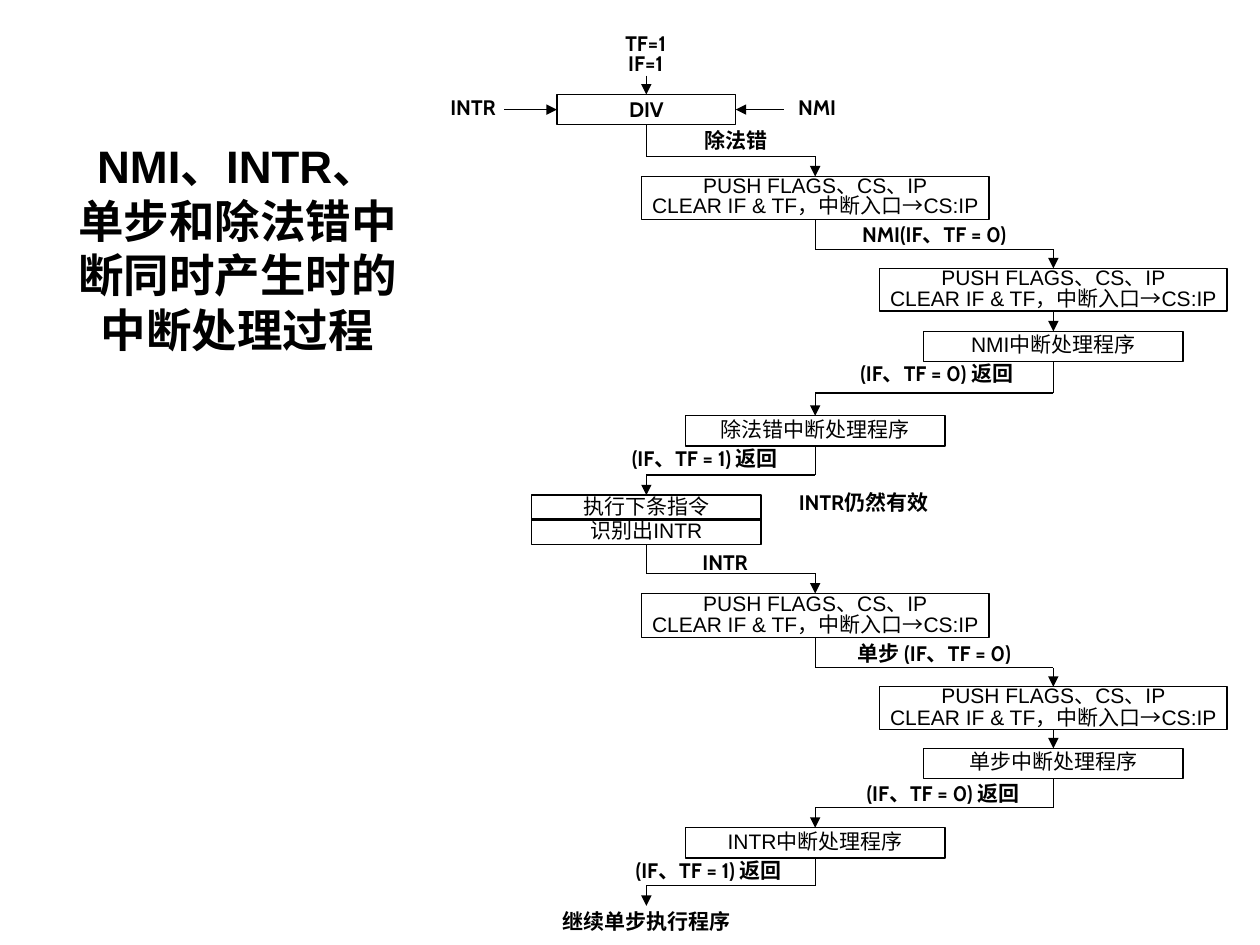
from lxml import etree
from pptx import Presentation
from pptx.dml.color import RGBColor
from pptx.enum.shapes import MSO_CONNECTOR, MSO_SHAPE
from pptx.enum.text import MSO_ANCHOR, MSO_AUTO_SIZE, PP_ALIGN
from pptx.oxml.ns import qn
from pptx.util import Pt

PX = 9144  # 100 px to the inch
BLACK = "000000"
LEFT, CENTER = PP_ALIGN.LEFT, PP_ALIGN.CENTER
MIDDLE, BOTTOM_ANCHOR = MSO_ANCHOR.MIDDLE, MSO_ANCHOR.BOTTOM
STRAIGHT, RECTANGLE = MSO_CONNECTOR.STRAIGHT, MSO_SHAPE.RECTANGLE
FIT_SHAPE, NO_FIT = MSO_AUTO_SIZE.SHAPE_TO_FIT_TEXT, MSO_AUTO_SIZE.NONE
TOP_SIDE, LEFT_SIDE, BOTTOM_SIDE, RIGHT_SIDE = range(4)

# Centre lines of the three nesting levels
MAIN, OUTER, INNER = 513, 647, 836
SAVE_STATE = ["PUSH FLAGS、CS、IP", "CLEAR IF & TF，中断入口→CS:IP"]

# Lines, left, top, width, height, line spacing, alignment
LABELS = [
    (["TF=1", "IF=1"], 481, 28, 63, 32, 0.8, CENTER),
    (["INTR"], 344, 79, 63, 16, 0.8, CENTER),
    (["NMI"], 617, 79, 63, 16, 0.8, CENTER),
    (["除法错"], 551, 105, 66, 16, 0.8, CENTER),
    (["NMI(IF、TF = 0)"], 663, 180, 157, 16, 0.8, CENTER),
    (["(IF、TF = 0) 返回"], 665, 288, 157, 18, 0.9, CENTER),
    (["(IF、TF = 1) 返回"], 481, 356, 157, 18, 0.9, CENTER),
    (["INTR仍然有效"], 634, 391, 113, 18, 0.9, LEFT),
    (["INTR"], 540, 438, 71, 18, 0.9, CENTER),
    (["单步 (IF、TF = 0)"], 663, 512, 157, 16, 0.8, CENTER),
    (["(IF、TF = 0) 返回"], 670, 622, 157, 18, 0.9, CENTER),
    (["(IF、TF = 1) 返回"], 484, 683, 157, 18, 0.9, CENTER),
]


def px(*lengths):
    return [length * PX for length in lengths]


def color(value):
    return RGBColor.from_string(value)


def write(frame, lines, font, size=12, bold=False, spacing=None, align=CENTER):
    for index, line in enumerate(lines):
        paragraph = frame.add_paragraph() if index else frame.paragraphs[0]
        paragraph.alignment = align
        if spacing:
            paragraph.line_spacing = spacing
        run = paragraph.add_run()
        run.text = line
        run.font.name = font
        run.font.size = Pt(size)
        run.font.bold = bold
        run.font.color.rgb = color(BLACK)


def clear_margins(frame):
    frame.margin_left = frame.margin_right = 0
    frame.margin_top = frame.margin_bottom = 0


def add_title(slide, text):
    title = slide.shapes.title
    title.left, title.top, title.width, title.height = px(50, 50, 277, 238)
    frame = title.text_frame
    frame.word_wrap = True
    frame.auto_size = NO_FIT
    frame.vertical_anchor = BOTTOM_ANCHOR
    write(frame, [text], "Arial", 26, True)


def add_step(slide, lines, column, top, width, height,
             font="Arial", bold=False, spacing=0.85):
    """Add a flow box centred on a column."""
    step = slide.shapes.add_shape(
        RECTANGLE, *px(column - width // 2, top, width, height))
    step.shadow.inherit = False
    step.fill.background()
    step.line.color.rgb = color(BLACK)
    step.line.width = Pt(0.75)
    frame = step.text_frame
    clear_margins(frame)
    frame.word_wrap = False
    frame.vertical_anchor = MIDDLE
    write(frame, lines, font, bold=bold, spacing=spacing)
    return step


def add_label(slide, lines, left, top, width, height, spacing, align):
    frame = slide.shapes.add_textbox(*px(left, top, width, height)).text_frame
    clear_margins(frame)
    frame.word_wrap = True
    frame.auto_size = FIT_SHAPE
    write(frame, lines, "Cabin", bold=True, spacing=spacing, align=align)


def add_outcome(slide, text):
    frame = slide.shapes.add_textbox(*px(MAIN - 103, 721, 206, 24)).text_frame
    clear_margins(frame)
    frame.word_wrap = False
    frame.vertical_anchor = MIDDLE
    write(frame, [text], "Cabin", bold=True, spacing=0.8)


def add_line(slide, start, end, arrow=False):
    line = slide.shapes.add_connector(STRAIGHT, *px(*start, *end))
    line.line.color.rgb = color(BLACK)
    line.line.width = Pt(0.75)
    properties = line.line._get_or_add_ln()
    if arrow:
        etree.SubElement(properties, qn("a:tailEnd"), type="triangle")
    etree.SubElement(line._element.spPr, qn("a:effectLst"))
    return line


def add_input(slide, start, end, step, side):
    add_line(slide, start, end, True).end_connect(step, side)


def add_turn(slide, source, start_column, turn, end_column, end_y, target=None):
    """Lead down from a step, across at the turn, and down to the next one."""
    source_bottom = (source.top + source.height) // PX
    drop = add_line(slide, (start_column, source_bottom), (start_column, turn))
    drop.begin_connect(source, BOTTOM_SIDE)
    add_line(slide, (start_column, turn), (end_column, turn))
    arrow = add_line(slide, (end_column, turn), (end_column, end_y), True)
    if target:
        arrow.end_connect(target, TOP_SIDE)


def add_descent(slide, source, target, column, top, bottom):
    arrow = add_line(slide, (column, top), (column, bottom), True)
    arrow.begin_connect(source, BOTTOM_SIDE)
    arrow.end_connect(target, TOP_SIDE)


def main():
    presentation = Presentation()
    presentation.slide_width, presentation.slide_height = px(1000, 750)
    slide = presentation.slides.add_slide(presentation.slide_layouts[5])
    add_title(slide, "NMI、INTR、单步和除法错中断同时产生时的中断处理过程")

    divide = add_step(slide, ["DIV"], MAIN, 75, 142, 24, "Cabin", True, None)
    divide_entry = add_step(slide, SAVE_STATE, OUTER, 140, 276, 34, spacing=0.8)
    nmi_entry = add_step(slide, SAVE_STATE, INNER, 213, 276, 34)
    nmi_handler = add_step(slide, ["NMI中断处理程序"], INNER, 263, 206, 24)
    divide_handler = add_step(slide, ["除法错中断处理程序"], OUTER, 330, 206, 24)
    next_instruction = add_step(slide, ["执行下条指令"], MAIN, 393, 182, 20)
    intr_found = add_step(slide, ["识别出INTR"], MAIN, 412, 182, 20)
    intr_entry = add_step(slide, SAVE_STATE, OUTER, 471, 276, 35)
    trap_entry = add_step(slide, SAVE_STATE, INNER, 545, 276, 34)
    trap_handler = add_step(slide, ["单步中断处理程序"], INNER, 594, 206, 24)
    intr_handler = add_step(slide, ["INTR中断处理程序"], OUTER, 657, 206, 24)
    add_outcome(slide, "继续单步执行程序")

    add_input(slide, (MAIN, 60), (MAIN, 75), divide, TOP_SIDE)
    add_input(slide, (400, 87), (442, 87), divide, LEFT_SIDE)
    add_input(slide, (622, 87), (584, 87), divide, RIGHT_SIDE)

    add_turn(slide, divide, MAIN, 124, OUTER, 140, divide_entry)
    add_turn(slide, divide_entry, OUTER, 198, INNER, 213, nmi_entry)
    add_descent(slide, nmi_entry, nmi_handler, INNER, 247, 263)
    add_turn(slide, nmi_handler, INNER, 312, OUTER, 330, divide_handler)
    add_turn(slide, divide_handler, OUTER, 377, MAIN, 393, next_instruction)
    add_turn(slide, intr_found, MAIN, 455, OUTER, 471, intr_entry)
    add_turn(slide, intr_entry, OUTER, 530, INNER, 545, trap_entry)
    add_descent(slide, trap_entry, trap_handler, INNER, 579, 594)
    add_turn(slide, trap_handler, INNER, 641, OUTER, 657, intr_handler)
    add_turn(slide, intr_handler, OUTER, 703, MAIN, 719)

    for label in LABELS:
        add_label(slide, *label)
    presentation.save("out.pptx")


if __name__ == "__main__":
    main()
